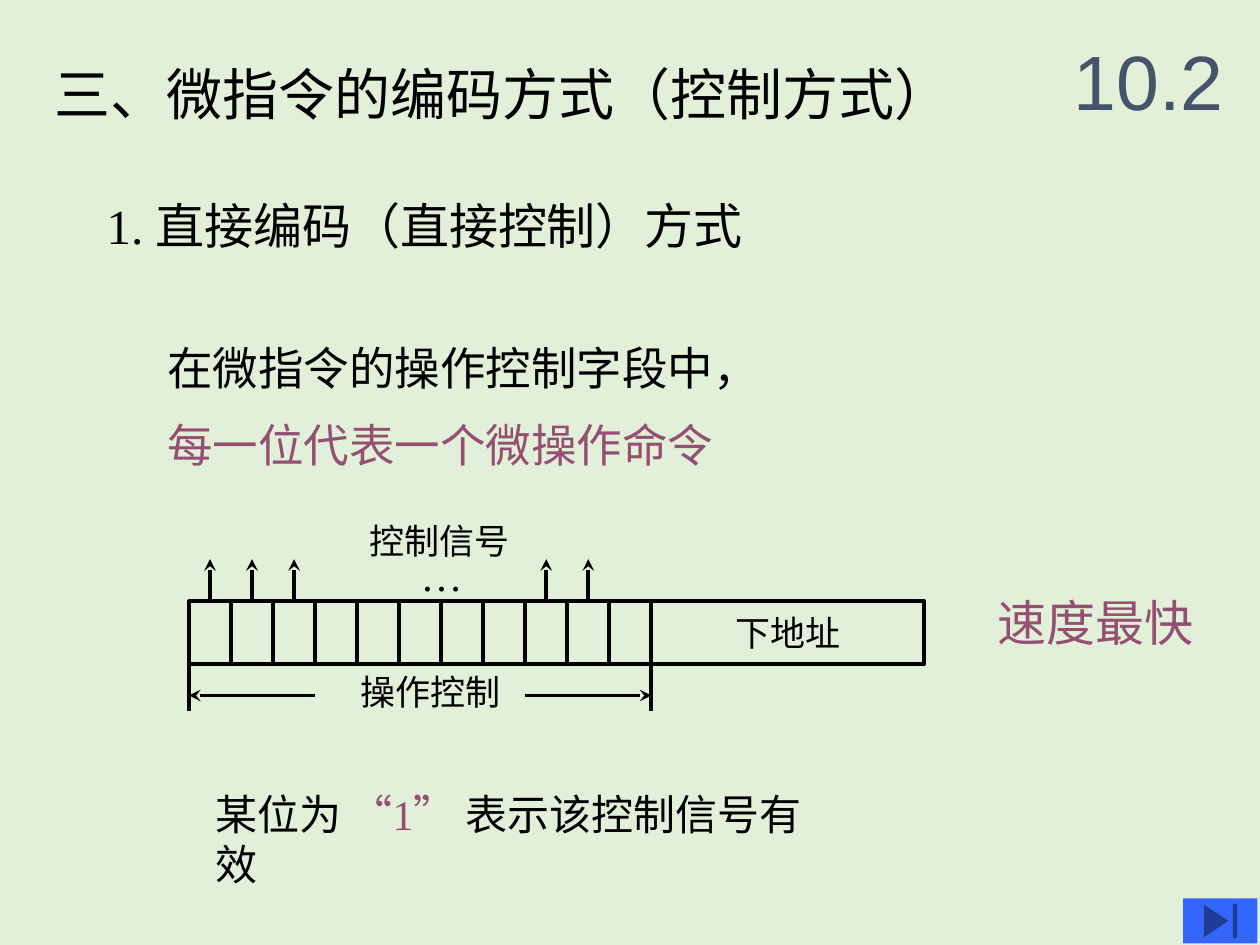
from lxml import etree
from pptx import Presentation
from pptx.dml.color import RGBColor
from pptx.enum.shapes import MSO_CONNECTOR, MSO_SHAPE
from pptx.enum.text import MSO_ANCHOR, PP_ALIGN
from pptx.oxml.ns import qn
from pptx.util import Cm, Pt

RECT, BUTTON = MSO_SHAPE.RECTANGLE, MSO_SHAPE.ACTION_BUTTON_END
LINE = MSO_CONNECTOR.STRAIGHT
MIDDLE, CENTER = MSO_ANCHOR.MIDDLE, PP_ALIGN.CENTER
TOP_SIDE = 0

COLORS = {"back": "E2F0D9", "ink": "000000", "accent": "954F72",
          "number": "44546A", "button": "3366FF"}
SANS, SERIF, ARIAL = "DejaVu Sans", "Times New Roman", "Arial"

# Register of control bits, in cm
LEFT, TOP, HIGH = 3.81, 12.12, 1.27
SPLIT, RIGHT = 13.13, 18.63
BITS = 11
STEP = (SPLIT - LEFT) / BITS
BASE = TOP + HIGH


def color(name):
    return RGBColor.from_string(COLORS[name])


def add_run(para, text, size, font=SANS, ink="ink"):
    run = para.add_run()
    run.text = text
    for key, value in {"size": Pt(size), "name": font}.items():
        setattr(run.font, key, value)
    run.font.color.rgb = color(ink)


def add_text(shapes, x, y, w, h, runs, wrap=False):
    """Add a text box whose runs are tuples of text, size, font and colour."""
    box = shapes.add_textbox(Cm(x), Cm(y), Cm(w), Cm(h))
    frame = box.text_frame
    frame.word_wrap = wrap
    for run in runs:
        add_run(frame.paragraphs[0], *run)
    return frame


def add_cell(shapes, x, w):
    cell = shapes.add_shape(RECT, Cm(x), Cm(TOP), Cm(w), Cm(HIGH))
    cell.shadow.inherit = False
    cell.fill.background()
    cell.line.color.rgb = color("ink")
    cell.line.width = Pt(2.25)
    return cell


def add_line(shapes, x1, y1, x2, y2, arrow=False):
    line = shapes.add_connector(LINE, Cm(x1), Cm(y1), Cm(x2), Cm(y2))
    line.line.color.rgb = color("ink")
    line.line.width = Pt(2.25)
    if arrow:
        etree.SubElement(line.line._get_or_add_ln(), qn("a:tailEnd"),
                         type="stealth")
    etree.SubElement(line._element.spPr, qn("a:effectLst"))
    return line


def add_heads(shapes):
    add_text(shapes, 0.84, 1.07, 18.64, 1.6,
             [("三、微指令的编码方式（控制方式）", 32)])
    add_text(shapes, 1.9, 3.81, 19.61, 1.45,
             [("1. ", 28, SERIF), ("直接编码（直接控制）方式", 28)], True)
    frame = add_text(shapes, 1.9, 6.73, 20.4, 3.02,
                     [("在微指令的操作控制字段中，", 26)], True)
    para = frame.add_paragraph()
    para.space_before = Pt(13)
    add_run(para, "每一位代表一个微操作命令", 26, ink="accent")
    for para in frame.paragraphs:
        para._p.get_or_add_pPr().set("marL", str(Cm(1.22)))
    add_text(shapes, 19.86, 11.81, 4.47, 1.45,
             [("速度最快", 28, SANS, "accent")])


def add_word(shapes):
    """Draw the microinstruction word with its signals and field labels."""
    cells = [add_cell(shapes, LEFT + i * STEP, STEP) for i in range(BITS)]
    field = add_cell(shapes, SPLIT, RIGHT - SPLIT)
    frame = field.text_frame
    for key, value in {"word_wrap": False, "vertical_anchor": MIDDLE}.items():
        setattr(frame, key, value)
    frame.paragraphs[0].alignment = CENTER
    add_run(frame.paragraphs[0], "下地址", 20, SERIF)

    for i in (0, 1, 2, 8, 9):
        x = LEFT + (i + 0.5) * STEP
        signal = add_line(shapes, x, TOP, x, TOP - STEP, True)
        signal.begin_connect(cells[i], TOP_SIDE)
    add_text(shapes, 8.23, 10.95, 1.35, 1.27, [("…", 24, SERIF)])
    add_text(shapes, 7.19, 10.34, 3.35, 1.09, [("控制信号", 20, SERIF)])

    mid = BASE + 0.63
    for edge, start in ((LEFT, LEFT + 3 * STEP), (SPLIT, SPLIT - 3 * STEP)):
        add_line(shapes, edge, BASE, edge, BASE + 0.94)
        add_line(shapes, start, mid, edge, mid, True)
    add_text(shapes, 7.01, BASE, 3.35, 1.09, [("操作控制", 20, SERIF)])


def add_button(shapes):
    button = shapes.add_shape(BUTTON, Cm(23.85), Cm(18.11), Cm(1.5), Cm(0.91))
    button.shadow.inherit = False
    button.fill.solid()
    button.fill.fore_color.rgb = color("button")
    button.line.fill.background()


def main():
    deck = Presentation()
    deck.slide_width, deck.slide_height = Cm(25.4), Cm(19.05)
    slide = deck.slides.add_slide(deck.slide_layouts[6])
    slide.background.fill.solid()
    slide.background.fill.fore_color.rgb = color("back")
    shapes = slide.shapes

    add_heads(shapes)
    add_word(shapes.add_group_shape().shapes)
    add_text(shapes, 4.09, 15.77, 12.42, 1.27,
             [("某位为 ", 24, SERIF), ("“1”", 24, SERIF, "accent"),
              (" 表示该控制信号有效", 24, SERIF)], True)
    number = add_text(shapes, 21.39, 0.43, 4.01, 2.34,
                      [("10.2", 44, ARIAL, "number")], True)
    number.vertical_anchor = MIDDLE
    add_button(shapes)
    deck.save("out.pptx")


if __name__ == "__main__":
    main()
